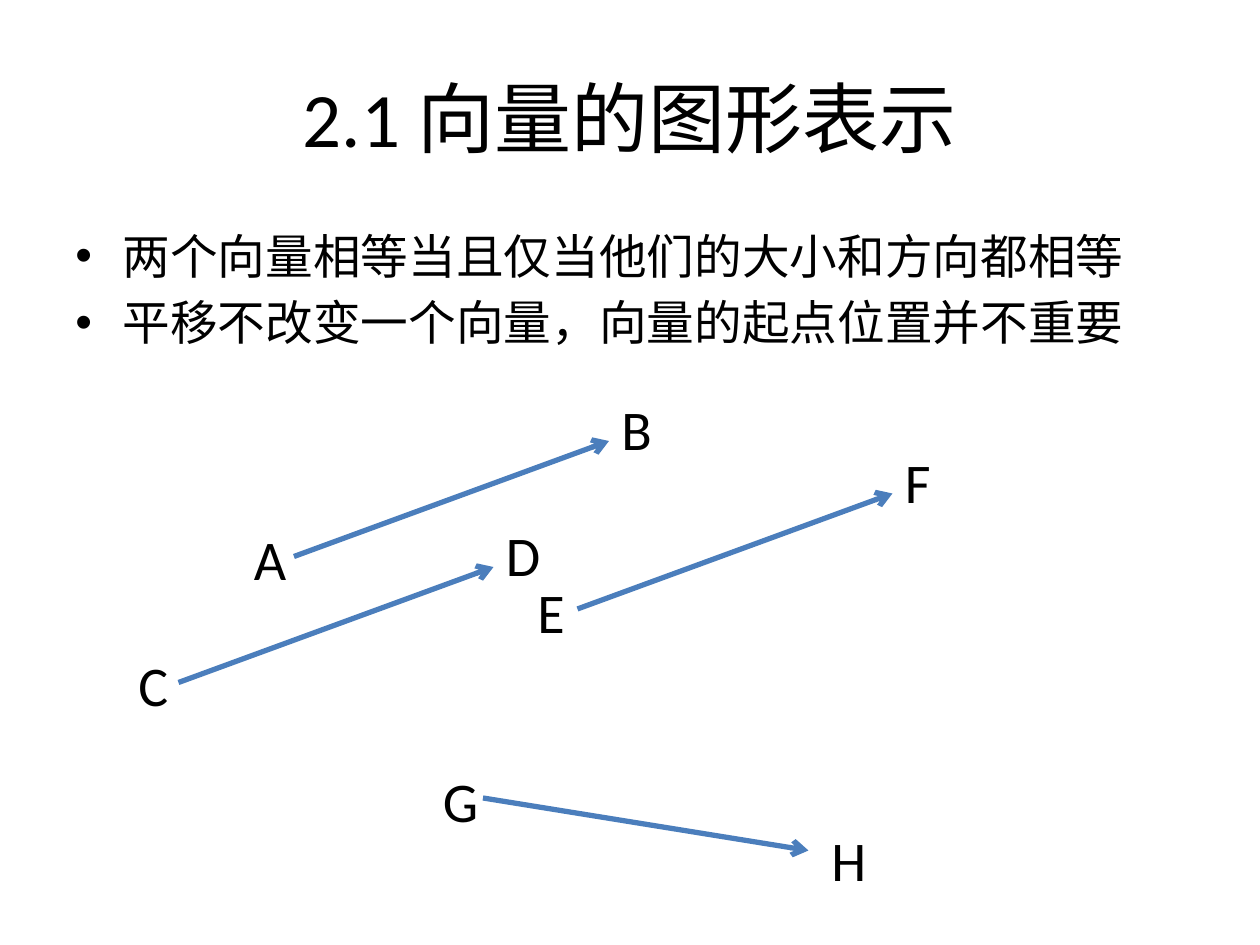
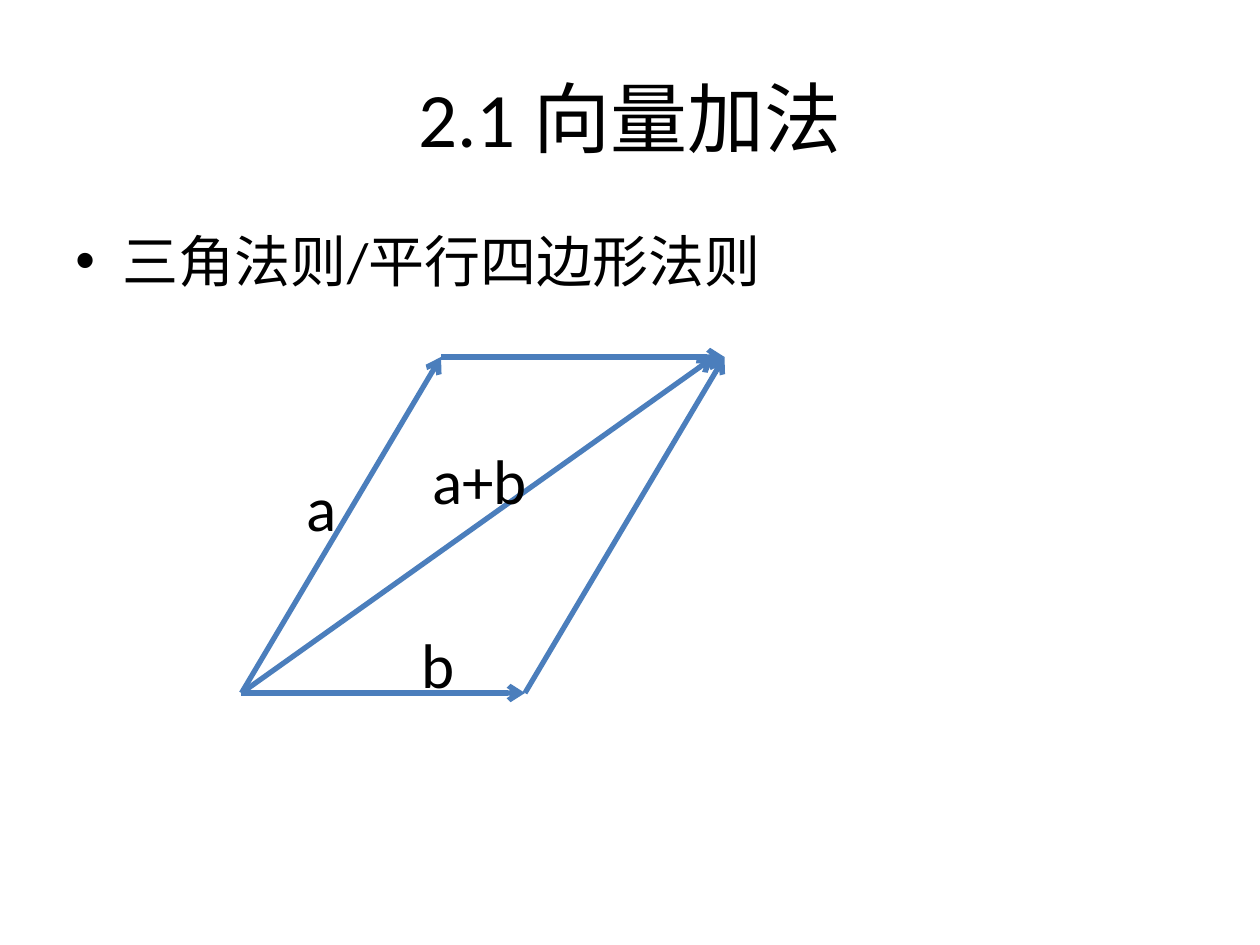
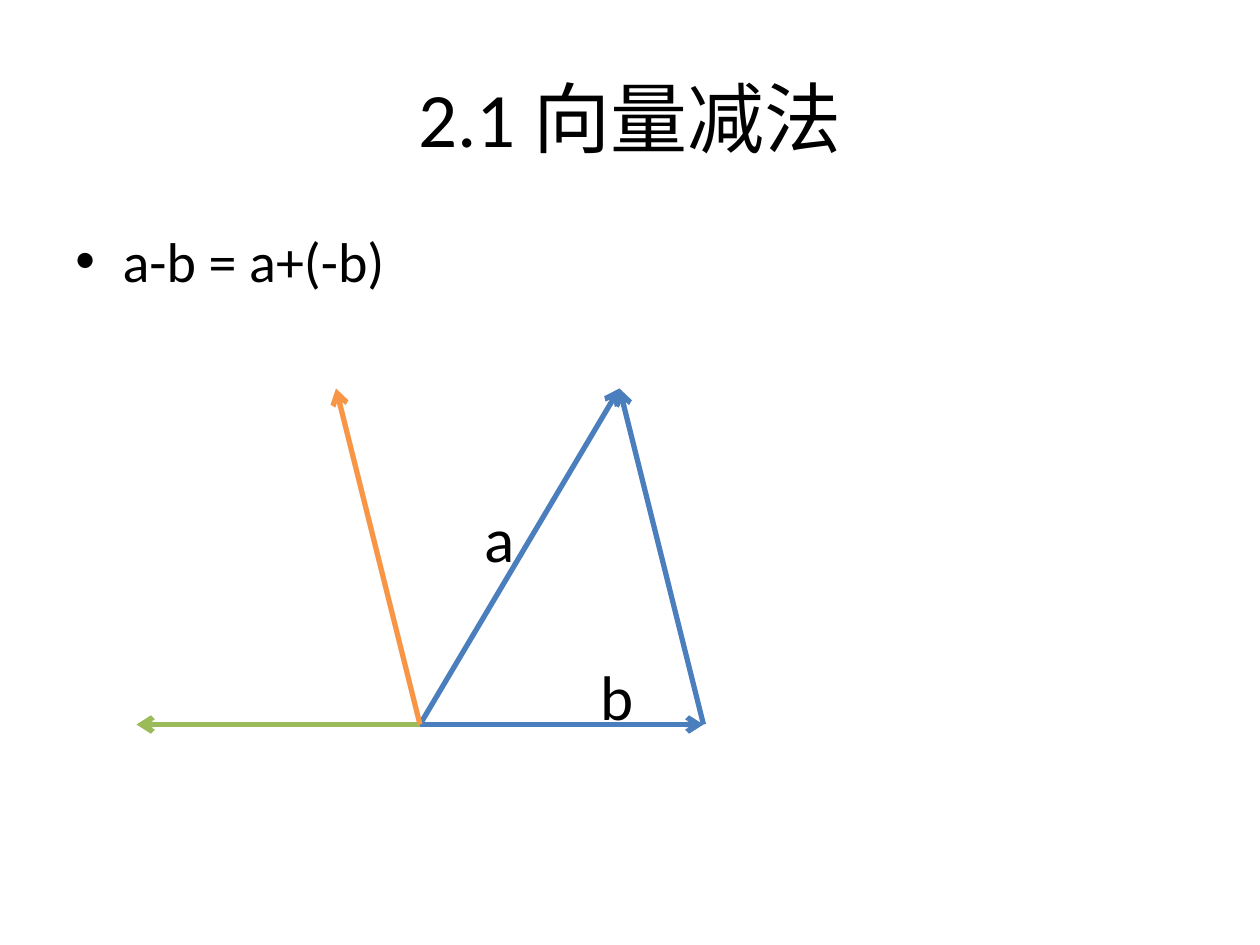
from dataclasses import dataclass

from pptx import Presentation
from pptx.dml.color import RGBColor
from pptx.enum.shapes import MSO_CONNECTOR
from pptx.enum.text import MSO_ANCHOR, MSO_AUTO_SIZE, PP_ALIGN
from pptx.oxml.ns import qn
from pptx.oxml.xmlchemy import OxmlElement
from pptx.util import Emu, Pt


@dataclass(frozen=True)
class Theme:
    font: str = "Calibri"
    text: str = "000000"
    background: str = "FFFFFF"
    blue: str = "4B7EBC"
    green: str = "9BBB59"
    orange: str = "F79646"
    title_size: float = 44
    body_size: float = 32
    compact_body_size: float = 27.2
    point_size: float = 32
    vector_size: float = 36
    line_width: float = 3


@dataclass(frozen=True)
class Box:
    left: int
    top: int
    width: int
    height: int


THEME = Theme()
EMU_PER_PX = 9525
SLIDE = Box(0, 0, 960, 720)
TITLE = Box(48, 29, 864, 120)
BODY = Box(48, 168, 864, 475)
COMPACT_BODY = Box(48, 168, 864, 152)
BULLET_INDENT = 36
VECTOR_A = (152, -256)
VECTOR_B = (216, 0)


def px(length):
    return Emu(length * EMU_PER_PX)


def shift(point, vector):
    return point[0] + vector[0], point[1] + vector[1]


def append_element(parent, tag, **attributes):
    child = OxmlElement(tag)
    for name, value in attributes.items():
        child.set(name, value)
    parent.append(child)
    return child


def add_text(shapes, box, lines, size):
    shape = shapes.add_textbox(px(box.left), px(box.top), px(box.width), px(box.height))
    text_frame = shape.text_frame
    text_frame.text = "\n".join(lines)
    text_frame.word_wrap = True
    for paragraph in text_frame.paragraphs:
        for run in paragraph.runs:
            run.font.name = THEME.font
            run.font.size = Pt(size)
            run.font.color.rgb = RGBColor.from_string(THEME.text)
    return text_frame


def add_title(slide, box, title):
    text_frame = add_text(slide.shapes, box, [title], THEME.title_size)
    text_frame.vertical_anchor = MSO_ANCHOR.MIDDLE
    text_frame.paragraphs[0].alignment = PP_ALIGN.CENTER


def add_bullets(slide, box, lines, size):
    text_frame = add_text(slide.shapes, box, lines, size)
    for paragraph in text_frame.paragraphs:
        properties = paragraph._p.get_or_add_pPr()
        properties.set("marL", str(px(BULLET_INDENT)))
        properties.set("indent", str(px(-BULLET_INDENT)))
        space_before = append_element(properties, "a:spcBef")
        append_element(space_before, "a:spcPct", val="20000")
        append_element(properties, "a:buFont", typeface="Arial")
        append_element(properties, "a:buChar", char="•")


def add_label(shapes, position, size, text, font_size):
    text_frame = add_text(shapes, Box(*position, *size), [text], font_size)
    text_frame.auto_size = MSO_AUTO_SIZE.SHAPE_TO_FIT_TEXT


def add_vector(shapes, start, vector, color=THEME.blue):
    end = shift(start, vector)
    connector = shapes.add_connector(
        MSO_CONNECTOR.STRAIGHT, *(px(length) for length in (*start, *end))
    )
    connector.line.color.rgb = RGBColor.from_string(color)
    connector.line.width = Pt(THEME.line_width)
    properties = connector.element.spPr
    append_element(properties.find(qn("a:ln")), "a:tailEnd", type="arrow")
    append_element(properties, "a:effectLst")


def add_named_vector(slide, start, vector, names, end_offset=(0, -40)):
    shapes = slide.shapes.add_group_shape().shapes
    add_vector(shapes, start, vector)
    offsets = ((-40, -29), shift(vector, end_offset))
    for name, offset in zip(names, offsets):
        add_label(shapes, shift(start, offset), (56, 61), name, THEME.point_size)


def add_operands(slide, origin):
    for vector in (VECTOR_B, VECTOR_A):
        add_vector(slide.shapes, origin, vector)
    for name, offset in (("a", (40, -176)), ("b", (128, -56))):
        add_label(slide.shapes, shift(origin, offset), (40, 68), name, THEME.vector_size)


def add_parallelogram(slide, origin):
    add_vector(slide.shapes, shift(origin, VECTOR_B), VECTOR_A)
    add_vector(slide.shapes, shift(origin, VECTOR_A), VECTOR_B)
    add_operands(slide, origin)
    add_vector(slide.shapes, origin, (360, -256))
    add_label(slide.shapes, shift(origin, (136, -196)), (112, 68), "a+b", THEME.vector_size)


def add_difference(slide, origin):
    negative_b = (-VECTOR_B[0], -VECTOR_B[1])
    difference = shift(VECTOR_A, negative_b)
    add_operands(slide, origin)
    add_vector(slide.shapes, shift(origin, VECTOR_B), difference)
    add_vector(slide.shapes, origin, negative_b, THEME.green)
    add_vector(slide.shapes, origin, difference, THEME.orange)


def add_base_slide(presentation, title, lines, body=BODY, size=THEME.body_size):
    slide = presentation.slides.add_slide(presentation.slide_layouts[6])
    slide.background.fill.solid()
    slide.background.fill.fore_color.rgb = RGBColor.from_string(THEME.background)
    add_title(slide, TITLE, title)
    add_bullets(slide, body, lines, size)
    return slide


def add_representation_slide(presentation):
    slide = add_base_slide(
        presentation,
        "2.1 向量的图形表示",
        ["两个向量相等当且仅当他们的大小和方向都相等", "平移不改变一个向量，向量的起点位置并不重要"],
        COMPACT_BODY,
        THEME.compact_body_size,
    )
    for start, names in (((224, 424), "AB"), ((440, 464), "EF"), ((136, 520), "CD")):
        add_named_vector(slide, start, (240, -88), names)
    add_named_vector(slide, (368, 608), (248, 40), "GH", (8, -24))


def add_addition_slide(presentation):
    slide = add_base_slide(presentation, "2.1 向量加法", ["三角法则/平行四边形法则"])
    add_parallelogram(slide, (184, 528))


def add_subtraction_slide(presentation):
    slide = add_base_slide(presentation, "2.1 向量减法", ["a-b = a+(-b)"])
    add_difference(slide, (320, 552))


def main():
    presentation = Presentation()
    presentation.slide_width = px(SLIDE.width)
    presentation.slide_height = px(SLIDE.height)
    add_representation_slide(presentation)
    add_addition_slide(presentation)
    add_subtraction_slide(presentation)
    presentation.save("out.pptx")


if __name__ == "__main__":
    main()
